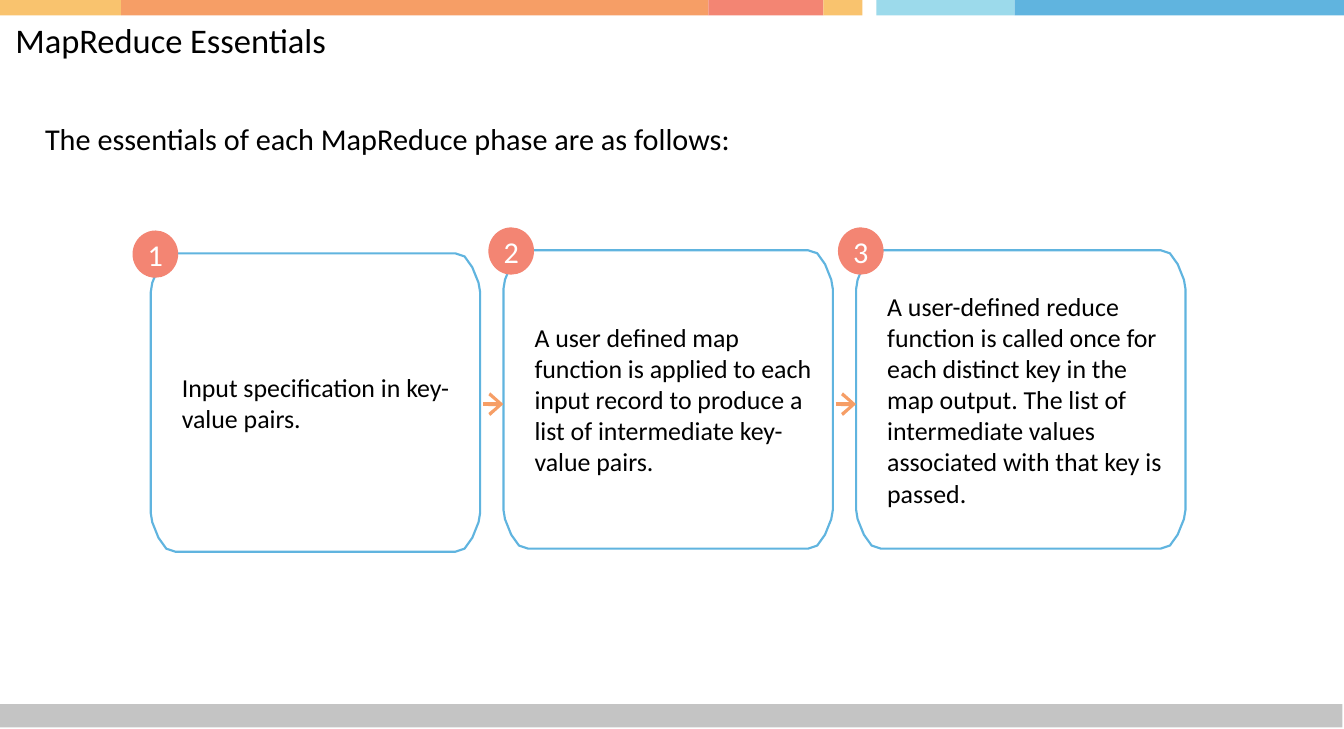
from pptx import Presentation
from pptx.dml.color import RGBColor
from pptx.enum.shapes import MSO_CONNECTOR, MSO_SHAPE
from pptx.enum.text import MSO_ANCHOR, PP_ALIGN
from pptx.oxml.ns import qn
from pptx.util import Inches, Pt
from lxml.etree import SubElement

BLUE, CORAL, ORANGE, YELLOW = "60B4DF", "F38573", "F69E66", "F9C36E"
STRIPES = [(0, 0.78, YELLOW), (0.78, 4.56, ORANGE), (4.56, 5.3, CORAL),
           (5.3, 5.55, YELLOW), (5.64, 6.53, "9CDAEB"), (6.53, 8.65, BLUE)]
CORNER = [(0, 0.32), (0, 0.25), (0.01, 0.19), (0.03, 0.14),
          (0.05, 0.09), (0.1, 0.02), (0.16, 0)]
BOX_WIDTH, BOX_HEIGHT, TEXT_INDENT = 2.12, 1.92, 0.2
STEPS = [
    (0.97, 1.63, 0.86, 1.81, "Input specification in key-value pairs."),
    (3.24, 1.61, 3.15, 1.81, "A user defined map function is applied to each input "
     "record to produce a list of intermediate key-value pairs."),
    (5.51, 1.61, 5.4, 1.77, "A user-defined reduce function is called once for each "
     "distinct key in the map output. The list of intermediate values associated "
     "with that key is passed."),
]


def color(value):
    return RGBColor.from_string(value)


def apply_format(target, values):
    for name, value in values.items():
        setattr(target, name, value)


class SlideBuilder:
    """Draws the elements of one slide in a shared style."""

    def __init__(self, slide, font_name="Calibri"):
        self.slide = slide
        self.font_name = font_name

    def set_text(self, shape, text, size, hex_color="000000", align=PP_ALIGN.LEFT,
                 left=0, right=0):
        frame = shape.text_frame
        apply_format(frame, {"word_wrap": True, "vertical_anchor": MSO_ANCHOR.MIDDLE,
                             "margin_left": Inches(left), "margin_right": Inches(right),
                             "margin_top": 0, "margin_bottom": 0})
        paragraph = frame.paragraphs[0]
        paragraph.text = text
        paragraph.alignment = align
        apply_format(paragraph.font, {"name": self.font_name, "size": Pt(size)})
        paragraph.font.color.rgb = color(hex_color)

    def paint(self, shape, fill=None, line=None):
        shape.shadow.inherit = False
        if fill:
            shape.fill.solid()
            shape.fill.fore_color.rgb = color(fill)
        else:
            shape.fill.background()
        if line:
            shape.line.color.rgb = color(line)
            shape.line.width = Pt(1)
        else:
            shape.line.fill.background()

    def label(self, left, top, width, height, text, size):
        box = self.slide.shapes.add_textbox(*map(Inches, (left, top, width, height)))
        self.set_text(box, text, size)

    def preset(self, kind, left, top, width, height, fill, line=None):
        shape = self.slide.shapes.add_shape(kind, *map(Inches, (left, top, width, height)))
        self.paint(shape, fill, line)
        return shape

    def step_box(self, left, top, text_width, text):
        right, bottom = left + BOX_WIDTH, top + BOX_HEIGHT
        outline = [(left + x, top + y) for x, y in CORNER]
        outline += [(right - x, top + y) for x, y in reversed(CORNER)]
        outline += [(right - x, bottom - y) for x, y in CORNER]
        outline += [(left + x, bottom - y) for x, y in reversed(CORNER)]
        points = [(Inches(x), Inches(y)) for x, y in outline]
        builder = self.slide.shapes.build_freeform(*points[0])
        builder.add_line_segments(points[1:], close=True)
        shape = builder.convert_to_shape()
        self.paint(shape, line=BLUE)
        self.set_text(shape, text, 12, left=TEXT_INDENT,
                      right=BOX_WIDTH - TEXT_INDENT - text_width)

    def badge(self, left, top, number):
        shape = self.preset(MSO_SHAPE.OVAL, left, top, 0.28, 0.29, CORAL, CORAL)
        self.set_text(shape, str(number), 14, "FFFFFF", PP_ALIGN.CENTER)

    def arrow(self, start, end, y):
        connector = self.slide.shapes.add_connector(
            MSO_CONNECTOR.STRAIGHT, *map(Inches, (start, y, end, y)))
        connector.line.color.rgb = color(ORANGE)
        connector.line.width = Pt(1.75)
        properties = connector._element.spPr
        SubElement(properties.find(qn("a:ln")), qn("a:tailEnd"),
                   type="arrow", w="lg", len="med")
        SubElement(properties, qn("a:effectLst"))


def main():
    presentation = Presentation()
    apply_format(presentation, {"slide_width": Inches(8.65), "slide_height": Inches(4.69)})
    builder = SlideBuilder(presentation.slides.add_slide(presentation.slide_layouts[6]))

    builder.preset(MSO_SHAPE.RECTANGLE, 0, 4.53, 8.64, 0.15, "C4C4C4")
    for left, right, fill in STRIPES:
        builder.preset(MSO_SHAPE.RECTANGLE, left, 0, right - left, 0.1, fill)
    builder.label(0.1, 0.11, 8.47, 0.29, "MapReduce Essentials", 16)
    builder.label(0.29, 0.76, 4.6, 0.26,
                  "The essentials of each MapReduce phase are as follows:", 14)

    for number, (left, top, badge_left, text_width, text) in enumerate(STEPS, 1):
        builder.step_box(left, top, text_width, text)
        builder.badge(badge_left, top - 0.14, number)
        if number > 1:
            builder.arrow(left - 0.13, left, 2.6)

    presentation.save("out.pptx")


if __name__ == "__main__":
    main()
